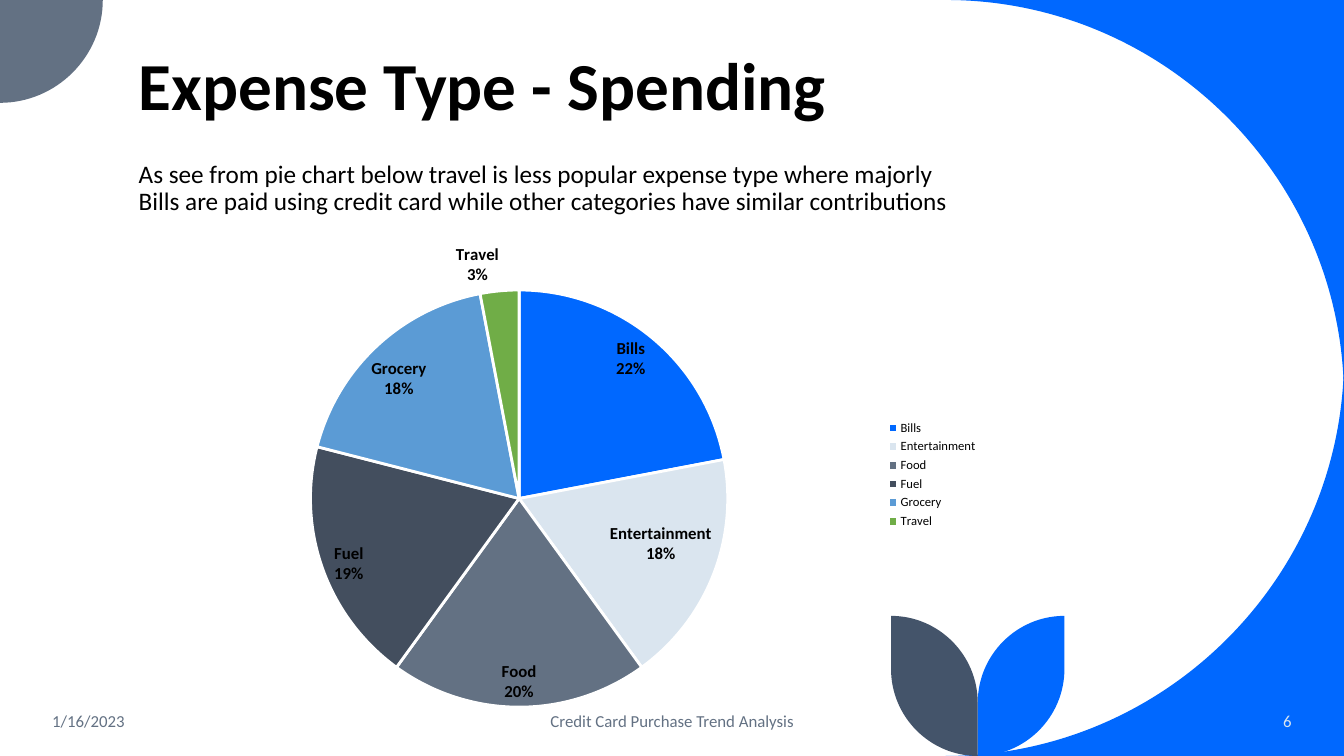
import pptx
import pptx.chart.data
import pptx.dml.color
import pptx.enum.chart
import pptx.enum.text
import pptx.oxml
import pptx.oxml.ns
import pptx.util

# Positions are percentages of the slide's width (x) and height (y).
SLIDE_WIDTH = pptx.util.Inches(13.33)
SLIDE_HEIGHT = pptx.util.Inches(7.5)
FONT = "Calibri"
BLACK, WHITE, BLUE = "000000", "FFFFFF", "0068FF"
PALE, GREY, SLATE = "DAE5EF", "637183", "44546A"
ALIGN = pptx.enum.text.PP_ALIGN
ANCHOR = pptx.enum.text.MSO_ANCHOR
ARC_PULL = 0.55  # how far a quarter ellipse's handles reach to its corner

EXPENSES = [
    ("Bills", 22, BLUE),
    ("Entertainment", 18, PALE),
    ("Food", 20, GREY),
    ("Fuel", 19, "434E5E"),
    ("Grocery", 18, "5B9BD5"),
    ("Travel", 3, "70AD47"),
]


def across(share):
    return round(SLIDE_WIDTH * share / 100)


def down(share):
    return round(SLIDE_HEIGHT * share / 100)


def place(left, top, width, height):
    return across(left), down(top), across(width), down(height)


def color(hex_text):
    return pptx.dml.color.RGBColor.from_string(hex_text)


def style_font(font, size, hex_text, bold=False):
    font.name = FONT
    font.size = pptx.util.Pt(size)
    font.bold = bold
    font.color.rgb = color(hex_text)


def bend(shape, line, start, end, corner):
    """Turn a straight segment into a quarter ellipse around its corner."""
    handles = [tuple(p + ARC_PULL * (c - p) for p, c in zip(point, corner))
               for point in (start, end)]
    points = "".join(
        f'<a:pt x="{across(x) - shape.left}" y="{down(y) - shape.top}"/>'
        for x, y in handles + [end])
    curve = pptx.oxml.parse_xml(
        '<a:cubicBezTo xmlns:a="http://schemas.openxmlformats.org/drawingml/2006/main">'
        f'{points}</a:cubicBezTo>')
    line.getparent().replace(line, curve)


def add_outline(page, start, steps, fill):
    """Each step is (end point, corner of the curve or None if straight)."""
    points = [start] + [end for end, _ in steps]
    corners = [(across(x), down(y)) for x, y in points]
    builder = page.shapes.build_freeform(*corners[0])
    builder.add_line_segments(corners[1:], close=True)
    shape = builder.convert_to_shape()
    shape.shadow.inherit = False
    shape.fill.solid()
    shape.fill.fore_color.rgb = color(fill)
    shape.line.fill.background()
    lines = list(shape._element.iter(pptx.oxml.ns.qn("a:lnTo")))
    for line, before, (end, corner) in zip(lines, points, steps):
        if corner:
            bend(shape, line, before, end, corner)


def add_leaf(page, tip, fill):
    stem, top, bottom = 72.75, 81.47, 100
    add_outline(page, (tip, top), [
        ((tip, 88.5), None),
        ((stem, bottom), (tip, bottom)),
        ((stem, 92.97), None),
        ((tip, top), (stem, top)),
    ], fill)


def write(box, text, size, hex_text, align, anchor, bold=False, spacing=1.0):
    frame = box.text_frame
    frame.word_wrap = True
    frame.auto_size = pptx.enum.text.MSO_AUTO_SIZE.NONE
    frame.vertical_anchor = anchor
    para = frame.paragraphs[0]
    para.alignment = align
    para.line_spacing = spacing
    para.space_before = pptx.util.Pt(0)
    span = para.add_run()
    span.text = text
    style_font(span.font, size, hex_text, bold)


def fill_placeholder(page, box, area, text, size, anchor, bold=False):
    page.shapes._spTree.append(box._element)  # bring in front of the artwork
    box.left, box.top, box.width, box.height = place(*area)
    settings = box.text_frame.paragraphs[0]._p.get_or_add_pPr()
    settings.set("marL", "0")
    settings.set("indent", "0")
    settings.append(pptx.oxml.parse_xml(
        '<a:buNone xmlns:a="http://schemas.openxmlformats.org/drawingml/2006/main"/>'))
    write(box, text, size, BLACK, ALIGN.LEFT, anchor, bold, spacing=0.9)


def add_footer(page, left, width, text, hex_text, align):
    box = page.shapes.add_textbox(*place(left, 92.67, width, 5.33))
    write(box, text, 12, hex_text, align, ANCHOR.MIDDLE)


def set_plot_area(chart, *shares):
    sides = "".join(f'<c:{side} val="{share / 100:.3f}"/>'
                    for side, share in zip("xywh", shares))
    layout = pptx.oxml.parse_xml(
        '<c:layout xmlns:c="http://schemas.openxmlformats.org/drawingml/2006/chart">'
        '<c:manualLayout><c:layoutTarget val="inner"/>'
        f'<c:xMode val="edge"/><c:yMode val="edge"/>{sides}'
        '</c:manualLayout></c:layout>')
    plot_area = chart._chartSpace.chart.plotArea
    for old in plot_area.findall(layout.tag):
        plot_area.remove(old)
    plot_area.insert(0, layout)


def add_expense_pie(page, area):
    data = pptx.chart.data.CategoryChartData()
    data.categories = [name for name, _, _ in EXPENSES]
    data.add_series("Series 1", [value for _, value, _ in EXPENSES])
    chart = page.shapes.add_chart(
        pptx.enum.chart.XL_CHART_TYPE.PIE, *place(*area), data).chart
    chart.has_title = False
    style_font(chart.font, 10, BLACK)
    set_plot_area(chart, 12.2, 12.4, 54.1, 84.9)

    chart.has_legend = True
    chart.legend.position = pptx.enum.chart.XL_LEGEND_POSITION.RIGHT
    chart.legend.include_in_layout = False
    style_font(chart.legend.font, 9, BLACK)

    plot = chart.plots[0]
    plot.vary_by_categories = True
    for index, (_, _, fill) in enumerate(EXPENSES):
        piece = plot.series[0].points[index].format
        piece.fill.solid()
        piece.fill.fore_color.rgb = color(fill)
        piece.line.color.rgb = color(WHITE)
        piece.line.width = pptx.util.Pt(2)

    labels = plot.series[0].data_labels
    labels.show_category_name = True
    labels.show_percentage = True
    labels.show_value = False
    labels.position = pptx.enum.chart.XL_LABEL_POSITION.BEST_FIT
    style_font(labels.font, 12, BLACK, bold=True)


def main():
    deck = pptx.Presentation()
    deck.slide_width, deck.slide_height = SLIDE_WIDTH, SLIDE_HEIGHT
    page = deck.slides.add_slide(deck.slide_layouts[1])
    title, body = page.placeholders

    # Artwork: two right-hand corners, the top-left quarter disc, the leaves
    add_outline(page, (100, 0), [
        ((70.37, 0), None), ((100, 52.67), (100, 0))], BLUE)
    add_outline(page, (100, 47.33), [
        ((70.37, 100), (100, 100)), ((100, 100), None)], BLUE)
    add_outline(page, (0, 0), [
        ((7.65, 0), None), ((0, 13.6), (7.65, 13.6))], GREY)
    add_leaf(page, 79.2, BLUE)
    add_leaf(page, 66.3, SLATE)

    # Title
    fill_placeholder(page, title, (9.57, 5.87, 80.2, 11.33),
                     "Expense Type - Spending", 48, ANCHOR.BOTTOM, bold=True)

    # Footer
    add_footer(page, 3.15, 22.5, "1/16/2023", GREY, ALIGN.LEFT)
    add_footer(page, 33.15, 33.75, "Credit Card Purchase Trend Analysis",
               GREY, ALIGN.CENTER)
    add_footer(page, 83.27, 13.58, "6", PALE, ALIGN.RIGHT)

    # Chart and its introduction
    add_expense_pie(page, (16.1, 30.27, 57.4, 65.07))
    fill_placeholder(
        page, body, (9.57, 20.7, 62.2, 7.6),
        "As see from pie chart below travel is less popular expense type where "
        "majorly Bills are paid using credit card while other categories have "
        "similar contributions", 18, ANCHOR.TOP)

    deck.save("out.pptx")


if __name__ == "__main__":
    main()
